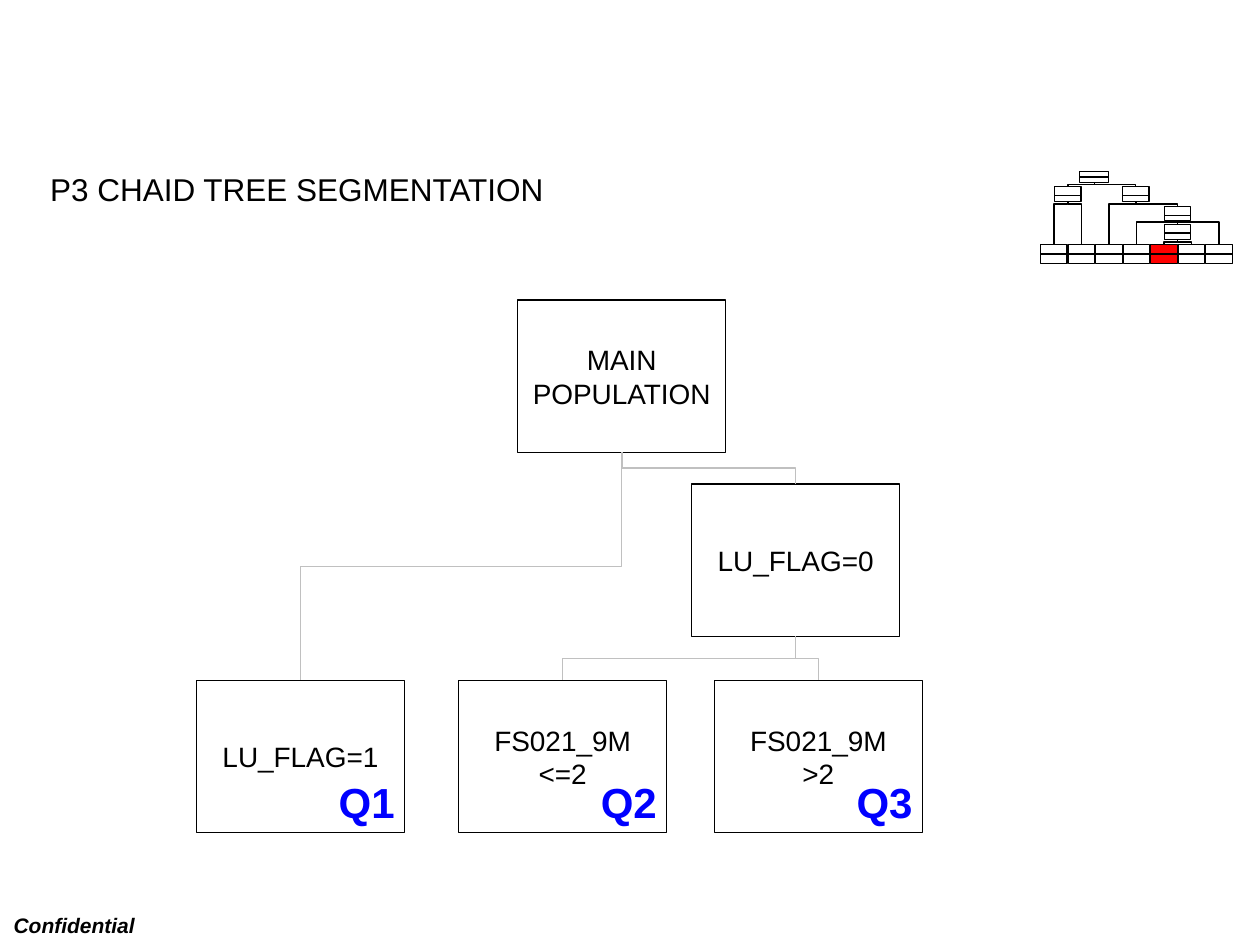
"""Build the CHAID tree segmentation slide."""
from lxml import etree
from pptx import Presentation
from pptx.dml.color import RGBColor
from pptx.enum.shapes import MSO_CONNECTOR, MSO_SHAPE
from pptx.enum.text import MSO_ANCHOR, MSO_AUTO_SIZE, PP_ALIGN
from pptx.oxml.ns import qn
from pptx.util import Inches, Pt

BLACK = RGBColor(0, 0, 0)
WHITE = RGBColor(255, 255, 255)
RED = RGBColor(255, 0, 0)
BLUE = RGBColor(0, 0, 255)
GRAY = RGBColor(192, 192, 192)
RECTANGLE = MSO_SHAPE.RECTANGLE
STRAIGHT = MSO_CONNECTOR.STRAIGHT
ELBOW = MSO_CONNECTOR.ELBOW
CENTER = PP_ALIGN.CENTER
LEFT = PP_ALIGN.LEFT
MIDDLE = MSO_ANCHOR.MIDDLE
FIT_SHAPE = MSO_AUTO_SIZE.SHAPE_TO_FIT_TEXT
TOP_SIDE, LEFT_SIDE, BOTTOM_SIDE, RIGHT_SIDE = range(4)


def write_text(frame, text, size=16, color=BLACK, bold=False, italic=False,
               align=LEFT, before=0, font="Arial"):
    for index, line in enumerate(text.split("\n")):
        para = frame.paragraphs[0] if index == 0 else frame.add_paragraph()
        para.alignment = align
        para.space_before = Pt(before)
        span = para.add_run()
        span.text = line
        span.font.name = font
        span.font.size = Pt(size)
        span.font.bold = bold
        span.font.italic = italic
        span.font.color.rgb = color


class TreePage:
    def __init__(self, page, line_width=0.75):
        self.page = page
        self.shapes = page.shapes
        self.line_width = Pt(line_width)

    def start_group(self):
        self.shapes = self.page.shapes.add_group_shape().shapes

    def label(self, text, left, top, width, height, wrap=False, **style):
        box = self.shapes.add_textbox(Inches(left), Inches(top), Inches(width), Inches(height))
        box.text_frame.word_wrap = wrap
        box.text_frame.auto_size = FIT_SHAPE
        write_text(box.text_frame, text, **style)

    def box(self, left, top, width, height, text="", fill=None):
        box = self.shapes.add_shape(RECTANGLE, Inches(left), Inches(top),
                                    Inches(width), Inches(height))
        box.shadow.inherit = False
        if fill is None:
            box.fill.background()
        else:
            box.fill.solid()
            box.fill.fore_color.rgb = fill
        box.line.color.rgb = BLACK
        box.line.width = self.line_width
        if text:
            box.text_frame.word_wrap = True
            box.text_frame.vertical_anchor = MIDDLE
            write_text(box.text_frame, text, align=CENTER)
        return box

    def connector(self, kind, left, top, right, bottom, color=BLACK):
        line = self.shapes.add_connector(kind, left, top, right, bottom)
        line.line.color.rgb = color
        line.line.width = self.line_width
        etree.SubElement(line._element.spPr, qn("a:effectLst"))
        return line

    def join(self, start, start_side, end, end_side):
        line = self.connector(STRAIGHT, 0, 0, 0, 0)
        line.begin_connect(start, start_side)
        line.end_connect(end, end_side)

    def split_box(self, left, top, width, height, divider=None, fill=None):
        box = self.box(left, top, width, height, fill=fill)
        if divider is None:
            self.join(box, LEFT_SIDE, box, RIGHT_SIDE)
        else:
            middle = box.top + Inches(divider)
            self.connector(STRAIGHT, box.left, middle, box.left + box.width, middle)
        return box

    def branch(self, parent, child, bend=0.5, color=BLACK):
        start_x = parent.left + parent.width // 2
        end_x = child.left + child.width // 2
        start_y = parent.top + parent.height
        drop, reach = child.top - start_y, abs(end_x - start_x)
        left = (start_x + end_x - drop) // 2
        top = (start_y + child.top - reach) // 2
        line = self.connector(ELBOW, left, top, left + drop, top + reach, color)
        properties = line._element.spPr
        frame = properties.find(qn("a:xfrm"))
        if end_x < start_x:
            frame.set("rot", "5400000")
        else:
            frame.set("rot", "16200000")
            frame.set("flipH", "1")
        guides = properties.find(qn("a:prstGeom")).get_or_add_avLst()
        etree.SubElement(guides, qn("a:gd"), name="adj1", fmla=f"val {round(bend * 100000)}")


def draw_main_tree(tree):
    width, height, leaf_top = 1.65, 1.21, 5.4
    root = tree.box(4.11, 2.38, width, height, "MAIN POPULATION")
    flag = tree.box(5.49, 3.84, width, height, "LU_FLAG=0")
    leaves = (("Q1", 1.56, "LU_FLAG=1", root),
              ("Q2", 3.64, "FS021_9M\n<=2", flag),
              ("Q3", 5.67, "FS021_9M\n>2", flag))
    tree.branch(root, flag, color=GRAY)
    for name, left, text, parent in leaves:
        leaf = tree.box(left, leaf_top, width, height, text)
        tree.branch(parent, leaf, color=GRAY)
        tree.label(name, left + 1.03, 6.11, 0.66, 0.5, size=24, color=BLUE, bold=True)


def draw_overview(tree):
    tree.start_group()
    width, first, step = 0.21, 8.26, 1.31 / 6
    fills = (None, None, None, WHITE, RED, None, None)
    leaves = [tree.split_box(first + index * step, 1.94, width, 0.15, fill=fill)
              for index, fill in enumerate(fills)]
    root = tree.split_box(8.57, 1.36, 0.23, 0.09)
    left_node, right_node, upper, lower = [
        tree.split_box(left, top, width, height, divider=0.07)
        for left, top, height in ((8.37, 1.48, 0.12), (8.91, 1.48, 0.12),
                                  (9.24, 1.64, 0.11), (9.24, 1.78, 0.12))]
    tree.join(upper, BOTTOM_SIDE, lower, TOP_SIDE)
    for parent, child in ((root, left_node), (root, right_node), (right_node, upper),
                          (lower, leaves[4]), (lower, leaves[5])):
        tree.branch(parent, child)
    for parent, child in ((left_node, leaves[0]), (left_node, leaves[1]),
                          (right_node, leaves[2]), (upper, leaves[3]), (upper, leaves[6])):
        tree.branch(parent, child, bend=0.06)


def main():
    deck = Presentation()
    deck.slide_width, deck.slide_height = Inches(10), Inches(7.5)
    tree = TreePage(deck.slides.add_slide(deck.slide_layouts[6]))
    tree.label("Confidential", 0.01, 7.19, 1.21, 0.3, size=12, bold=True, italic=True, before=7.5)
    tree.label("P3 CHAID TREE SEGMENTATION", 0.3, 1.3, 9.1, 0.4, wrap=True, size=18, before=11.2)
    draw_main_tree(tree)
    draw_overview(tree)
    deck.save("out.pptx")


if __name__ == "__main__":
    main()
